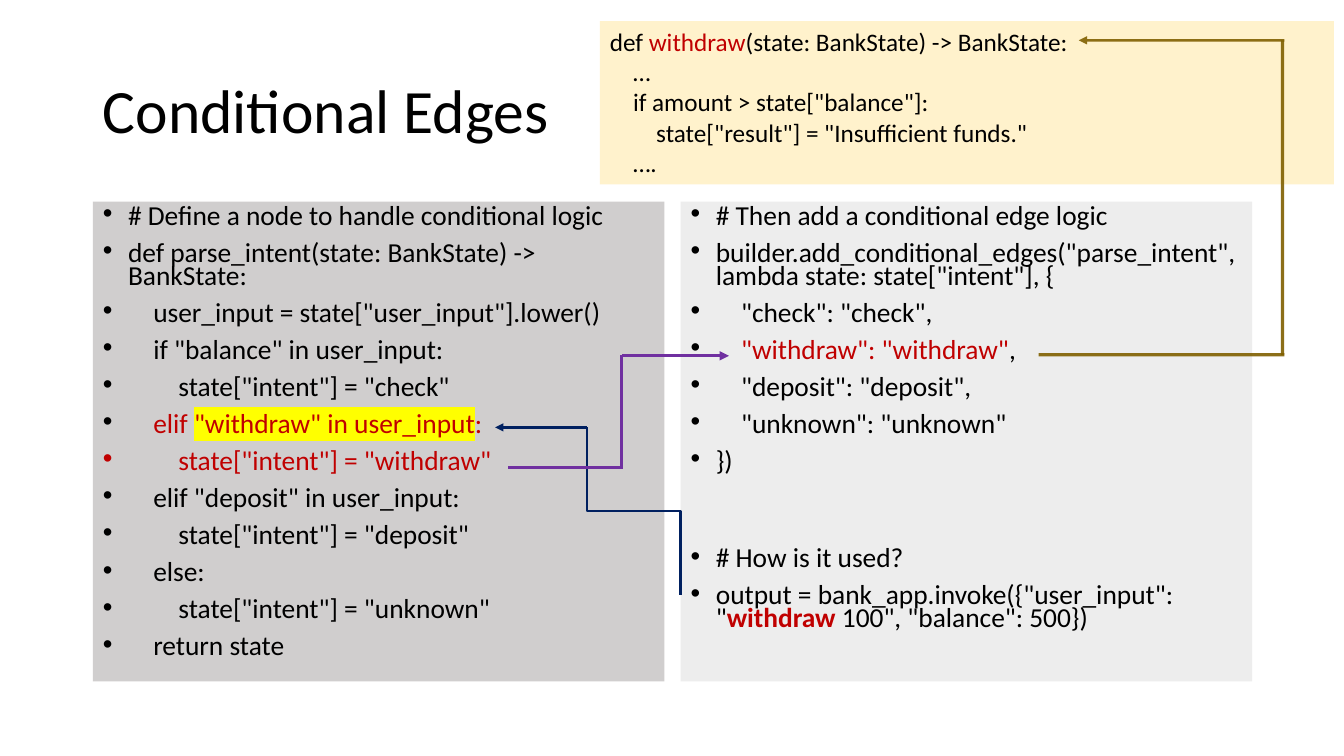
from lxml.etree import SubElement
from pptx import Presentation
from pptx.dml.color import RGBColor
from pptx.enum.shapes import MSO_CONNECTOR, MSO_SHAPE
from pptx.enum.text import MSO_ANCHOR, MSO_AUTO_SIZE, PP_ALIGN
from pptx.oxml import parse_xml
from pptx.oxml.ns import nsdecls, qn
from pptx.util import Inches, Pt

BLACK = RGBColor(0x00, 0x00, 0x00)
RED = RGBColor(0xC0, 0x00, 0x00)
YELLOW = RGBColor(0xFF, 0xFF, 0x00)
GRAY = RGBColor(0xD0, 0xCE, 0xCE)
LIGHT_GRAY = RGBColor(0xED, 0xED, 0xED)
CREAM = RGBColor(0xFF, 0xF2, 0xCC)
NAVY = RGBColor(0x00, 0x20, 0x60)
PURPLE = RGBColor(0x70, 0x30, 0xA0)
OLIVE = RGBColor(0x80, 0x60, 0x00)

FONT = "Calibri"
LIST_SIZE, CODE_SIZE = 19.6, 18
BULLET_INDENT, LIST_STEP, CODE_STEP = 0.25, 0.25, 0.23
LIST_SPACE, SECTION_SPACE = 10, 53

TITLE = "Conditional Edges"
RED_RUN = {"color": RED}

# Each line: indent level, then its runs as (text, format)
NODE_LINES = [
    (0, [("# Define a node to handle conditional logic", {})]),
    (0, [("def parse_intent(state: BankState) -> BankState:", {})]),
    (1, [('user_input = state["user_input"].lower()', {})]),
    (1, [('if "balance" in user_input:', {})]),
    (2, [('state["intent"] = "check"', {})]),
    (1, [("elif ", RED_RUN),
         ('"withdraw" in user_input', {"color": RED, "highlight": YELLOW}),
         (":", RED_RUN)]),
    (2, [('state["intent"] = "withdraw"', RED_RUN)]),
    (1, [('elif "deposit" in user_input:', {})]),
    (2, [('state["intent"] = "deposit"', {})]),
    (1, [("else:", {})]),
    (2, [('state["intent"] = "unknown"', {})]),
    (1, [("return state", {})]),
]
RED_BULLET = 'state["intent"] = "withdraw"'

USAGE_HEADING = "# How is it used?"
EDGE_LINES = [
    (0, [("# Then add a conditional edge logic", {})]),
    (0, [('builder.add_conditional_edges("parse_intent", '
          'lambda state: state["intent"], {', {})]),
    (1, [('"check": "check",', {})]),
    (1, [('"withdraw": "withdraw"', RED_RUN), (",", {})]),
    (1, [('"deposit": "deposit",', {})]),
    (1, [('"unknown": "unknown"', {})]),
    (0, [("})", {})]),
    (0, [(USAGE_HEADING, {})]),
    (0, [('output = bank_app.invoke({"user_input": "', {}),
         ("withdraw", {"color": RED, "bold": True}),
         (' 100", "balance": 500})', {})]),
]

WITHDRAW_LINES = [
    (0, [("def ", {}), ("withdraw", RED_RUN),
         ("(state: BankState) -> BankState:", {})]),
    (1, [("…", {})]),
    (1, [('if amount > state["balance"]:', {})]),
    (2, [('state["result"] = "Insufficient funds."', {})]),
    (1, [("….", {})]),
]

# Arrow legs: start, end, width in points, has arrowhead
INPUT_LEG = ((5.82, 4.24), (4.91, 4.24), 1.75, True)
INPUT_ELBOW = ((5.82, 4.24), (6.75, 5.9))
INTENT_LEGS = [
    ((5.04, 4.64), (6.15, 4.64), 2.25, False),
    ((6.16, 4.65), (6.16, 3.52), 2.25, False),
    ((6.17, 3.53), (7.23, 3.53), 2.25, True),
]
FUNCTION_LEGS = [
    ((10.3, 3.52), (12.74, 3.52), 2.25, False),
    ((12.72, 3.52), (12.72, 0.4), 2.25, False),
    ((12.74, 0.4), (10.7, 0.4), 1.75, True),
]


def place(shape, left, top, width, height):
    shape.left, shape.top = Inches(left), Inches(top)
    shape.width, shape.height = Inches(width), Inches(height)


def fill_solid(shape, color):
    shape.fill.solid()
    shape.fill.fore_color.rgb = color


def add_run(paragraph, text, size, color=BLACK, bold=False, highlight=None):
    run = paragraph.add_run()
    run.text = text
    run.font.size = Pt(size)
    run.font.name = FONT
    run.font.bold = bold
    run.font.color.rgb = color
    if highlight is not None:
        run.font._element.find(qn("a:solidFill")).addnext(parse_xml(
            f'<a:highlight {nsdecls("a")}><a:srgbClr val="{highlight}"/></a:highlight>'))


def write_lines(frame, lines, size, step, bulleted=False):
    """Write code lines; bullets stay at the left edge whatever the indent."""
    frame.word_wrap = True
    frame.auto_size = MSO_AUTO_SIZE.NONE
    for number, (level, runs) in enumerate(lines):
        paragraph = frame.paragraphs[0] if number == 0 else frame.add_paragraph()
        paragraph.alignment = PP_ALIGN.LEFT
        properties = paragraph._p.get_or_add_pPr()
        hanging = BULLET_INDENT if bulleted else 0
        margin = Inches(hanging + level * step)
        properties.set("marL", str(margin))
        properties.set("indent", str(-margin if bulleted else 0))
        if bulleted:
            first_text = runs[0][0]
            paragraph.line_spacing = 0.7
            paragraph.space_before = Pt(
                SECTION_SPACE if first_text == USAGE_HEADING else LIST_SPACE)
            bullet_color = RED if first_text == RED_BULLET else BLACK
            color = SubElement(properties, qn("a:buClr"))
            SubElement(color, qn("a:srgbClr")).set("val", str(bullet_color))
            SubElement(properties, qn("a:buFont")).set("typeface", "Arial")
            SubElement(properties, qn("a:buChar")).set("char", "•")
        for text, run_format in runs:
            add_run(paragraph, text, size, **run_format)


def add_line(slide, start, end, width, arrow, color, alpha=None,
             kind=MSO_CONNECTOR.STRAIGHT):
    connector = slide.shapes.add_connector(
        kind, *(Inches(value) for value in (*start, *end)))
    connector.line.color.rgb = color
    connector.line.width = Pt(width)
    outline = connector.line._get_or_add_ln()
    if alpha:
        rgb = outline.find(qn("a:solidFill")).find(qn("a:srgbClr"))
        SubElement(rgb, qn("a:alpha")).set("val", str(alpha * 1000))
    if arrow:
        SubElement(outline, qn("a:tailEnd")).set("type", "triangle")
    SubElement(connector._element.spPr, qn("a:effectLst"))
    return connector


def add_vertical_elbow(slide, start, end, width, color):
    """Draw an elbow that leaves and arrives vertically: a quarter-turned frame."""
    middle_x, middle_y = (start[0] + end[0]) / 2, (start[1] + end[1]) / 2
    half_x, half_y = (end[0] - start[0]) / 2, (end[1] - start[1]) / 2
    connector = add_line(
        slide, (middle_x + half_y, middle_y - half_x),
        (middle_x - half_y, middle_y + half_x), width, False, color,
        kind=MSO_CONNECTOR.ELBOW)
    connector._element.spPr.find(qn("a:xfrm")).set("rot", str(270 * 60000))


def main():
    presentation = Presentation()
    presentation.slide_width, presentation.slide_height = Inches(13.33), Inches(7.5)
    slide = presentation.slides.add_slide(presentation.slide_layouts[3])
    title, node_list, edge_list = slide.placeholders

    place(title, 0.92, 0.4, 11.5, 1.45)
    title.text_frame.vertical_anchor = MSO_ANCHOR.MIDDLE
    heading = title.text_frame.paragraphs[0]
    heading.alignment = PP_ALIGN.LEFT
    heading.line_spacing = 0.9
    add_run(heading, TITLE, 44)

    for body, left, color, lines in ((node_list, 0.92, GRAY, NODE_LINES),
                                     (edge_list, 6.75, LIGHT_GRAY, EDGE_LINES)):
        place(body, left, 2, 5.67, 4.76)
        fill_solid(body, color)
        write_lines(body.text_frame, lines, LIST_SIZE, LIST_STEP, bulleted=True)

    add_line(slide, *INPUT_LEG, NAVY)
    add_vertical_elbow(slide, *INPUT_ELBOW, 1.75, NAVY)
    for leg in INTENT_LEGS:
        add_line(slide, *leg, PURPLE)

    code_box = slide.shapes.add_shape(
        MSO_SHAPE.RECTANGLE, *(Inches(value) for value in (5.95, 0.21, 7.28, 1.62)))
    code_box.shadow.inherit = False
    fill_solid(code_box, CREAM)
    code_box.line.fill.background()
    code_box.text_frame.vertical_anchor = MSO_ANCHOR.TOP
    write_lines(code_box.text_frame, WITHDRAW_LINES, CODE_SIZE, CODE_STEP)

    for leg in FUNCTION_LEGS:
        add_line(slide, *leg, OLIVE, alpha=90)

    presentation.save("out.pptx")


if __name__ == "__main__":
    main()
